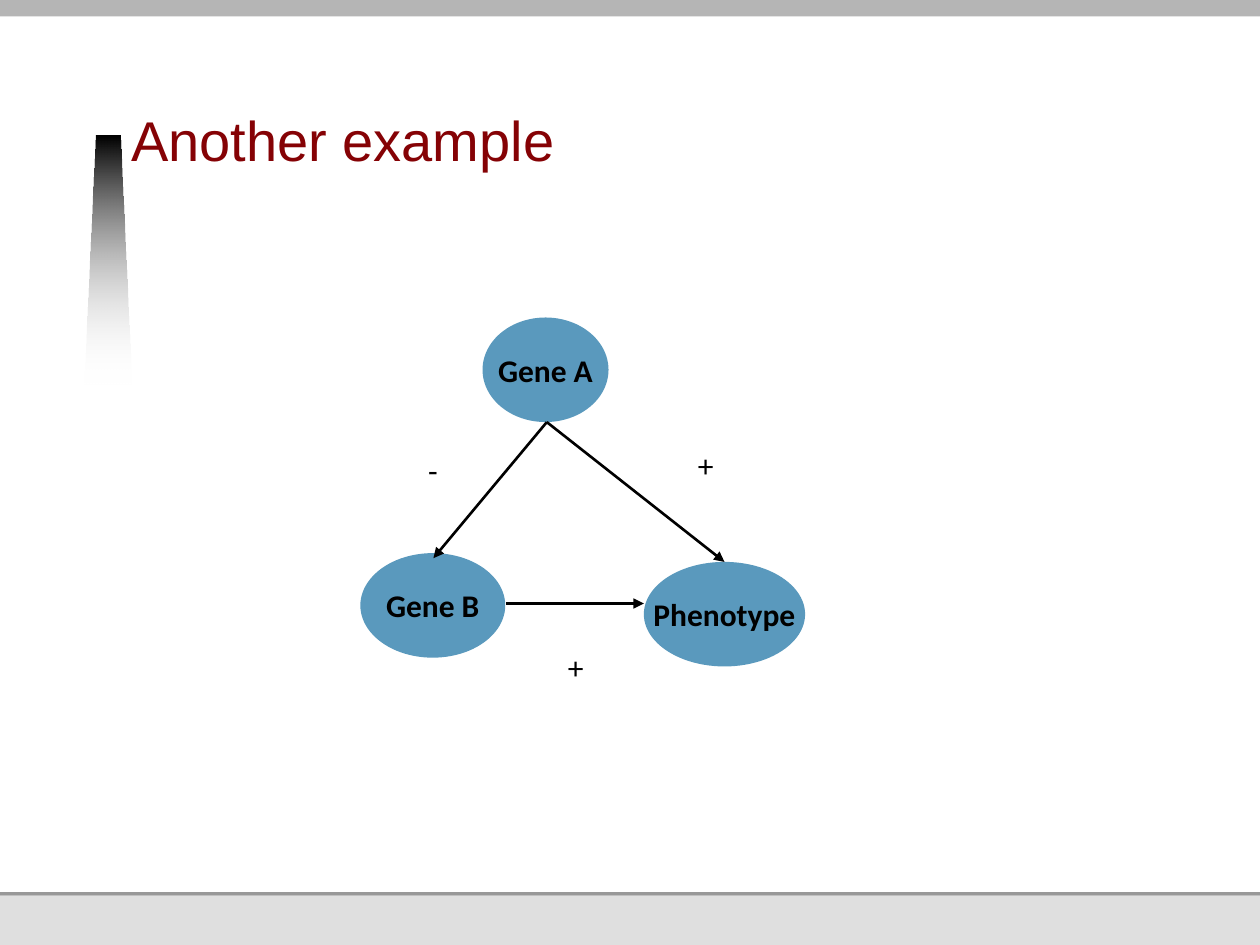
from lxml import etree
from pptx import Presentation
from pptx import util as u
from pptx.dml.color import RGBColor
from pptx.enum import shapes, text
from pptx.oxml.ns import qn

COLORS = {"title": "850205", "node": "5A99BD", "ink": "000000", "white": "FFFFFF",
          "top": "B5B5B5", "rule": "989898", "footer": "DFDFDF"}

# Content: left, top, width, height in inches
TITLE = "Another example"
BANDS = [("top", (0, 0, 10, 0.13)),
         ("rule", (0, 7.08, 10, 0.03)),
         ("footer", (0, 7.11, 10, 0.39))]
WEDGE = [(0.67, 3.05), (0.76, 1.08), (0.95, 1.08), (1.04, 3.05)]
NODES = [("Gene A", (3.83, 2.52, 1, 0.83)),
         ("Gene B", (2.86, 4.39, 1.15, 0.83)),
         ("Phenotype", (5.11, 4.46, 1.28, 0.83))]
ARROWS = [((4.34, 3.35), (3.44, 4.43)),
          ((4.34, 3.35), (5.75, 4.46)),
          ((4.02, 4.79), (5.11, 4.79))]
SIGNS = [("-", (3.3, 3.53, 0.28, 0.4)),
         ("+", (5.44, 3.49, 0.33, 0.4)),
         ("+", (4.41, 5.09, 0.33, 0.4))]


def color(name):
    return RGBColor.from_string(COLORS[name])


def inches(values):
    return [u.Inches(value) for value in values]


def write(shape, words, size=18, font="Calibri", ink="ink", bold=False, wrap=False,
          align=text.PP_ALIGN.LEFT, anchor=text.MSO_ANCHOR.TOP, spacing=None):
    frame = shape.text_frame
    frame.word_wrap = wrap
    frame.vertical_anchor = anchor
    para = frame.paragraphs[0]
    para.alignment = align
    if spacing:
        para.line_spacing = u.Pt(spacing)
    span = para.add_run()
    span.text = words
    span.font.size, span.font.name, span.font.bold = u.Pt(size), font, bold
    span.font.color.rgb = color(ink)
    return frame


def add_solid(page, kind, place, fill):
    shape = page.shapes.add_shape(kind, *inches(place))
    shape.shadow.inherit = False
    shape.fill.solid()
    shape.fill.fore_color.rgb = color(fill)
    shape.line.fill.background()
    return shape


def add_wedge(page):
    start, *rest = [inches(point) for point in WEDGE]
    builder = page.shapes.build_freeform(*start)
    builder.add_line_segments(rest, close=True)
    wedge = builder.convert_to_shape()
    wedge.shadow.inherit = False
    wedge.line.fill.background()
    wedge.fill.gradient()
    wedge.fill.gradient_angle = 270
    first, last = wedge.fill.gradient_stops
    first.position, last.position = 0, 1
    first.color.rgb, last.color.rgb = color("ink"), color("white")
    # Fade the lower end to full transparency
    lower = wedge.fill._xPr.findall(".//" + qn("a:srgbClr"))[-1]
    etree.SubElement(lower, qn("a:alpha"), val="0")


def add_arrow(page, start, end):
    arrow = page.shapes.add_connector(shapes.MSO_CONNECTOR.STRAIGHT,
                                      *inches(start + end))
    arrow.line.color.rgb = color("ink")
    arrow.line.width = u.Pt(1.5)
    etree.SubElement(arrow.line._get_or_add_ln(), qn("a:tailEnd"), type="triangle")
    etree.SubElement(arrow._element.spPr, qn("a:effectLst"))


def main():
    deck = Presentation()
    deck.slide_width, deck.slide_height = inches((10, 7.5))
    page = deck.slides.add_slide(deck.slide_layouts[5])

    # Slide decoration
    for fill, place in BANDS:
        add_solid(page, shapes.MSO_SHAPE.RECTANGLE, place, fill)
    add_wedge(page)

    # Title
    title = page.shapes.title
    title.left, title.top, title.width, title.height = inches((1.04, 0.34, 6.87, 1.08))
    frame = write(title, TITLE, size=32, font="Arial", ink="title", wrap=True,
                  anchor=text.MSO_ANCHOR.BOTTOM, spacing=34)
    frame.margin_left = frame.margin_top = frame.margin_right = 0
    frame.margin_bottom = u.Inches(0.05)

    # Diagram
    for label, place in NODES:
        node = add_solid(page, shapes.MSO_SHAPE.OVAL, place, "node")
        write(node, label, bold=True, align=text.PP_ALIGN.CENTER,
              anchor=text.MSO_ANCHOR.MIDDLE)
    for start, end in ARROWS:
        add_arrow(page, start, end)
    for sign, place in SIGNS:
        box = page.shapes.add_textbox(*inches(place))
        write(box, sign).auto_size = text.MSO_AUTO_SIZE.SHAPE_TO_FIT_TEXT

    deck.save("out.pptx")


if __name__ == "__main__":
    main()
